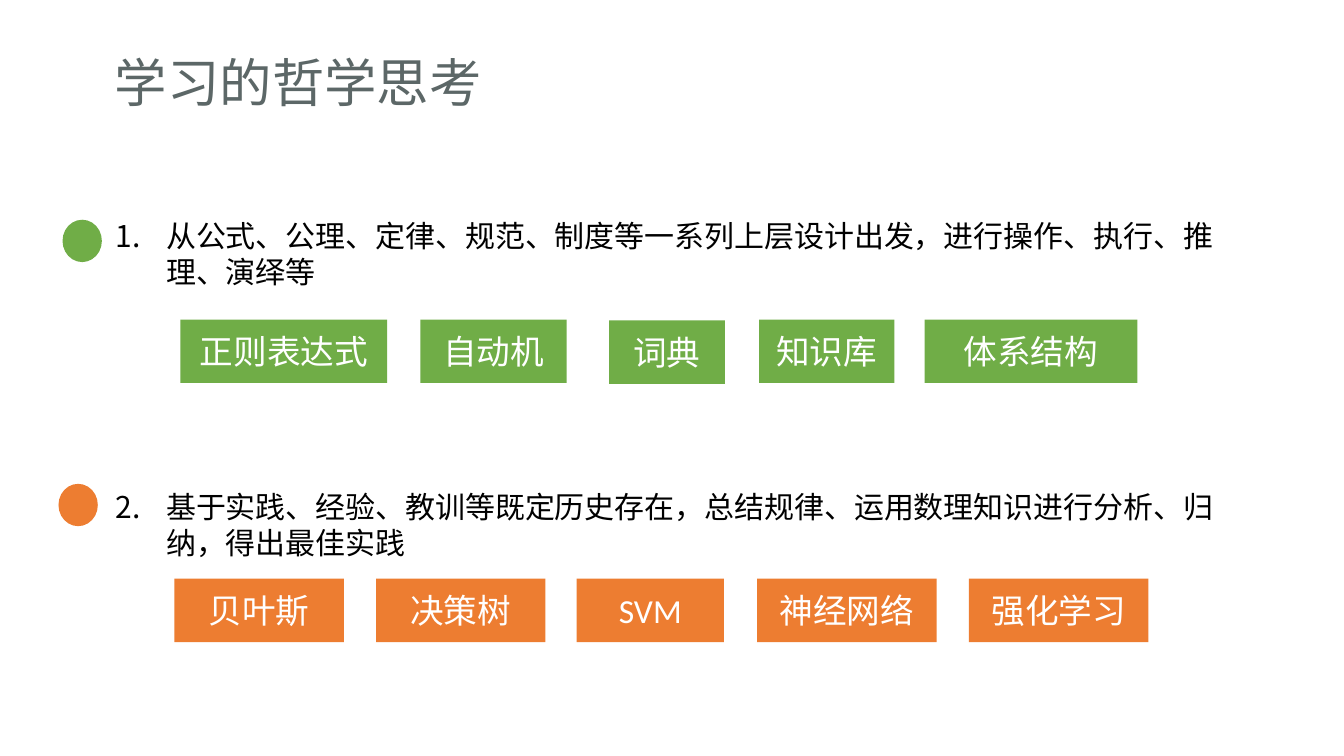
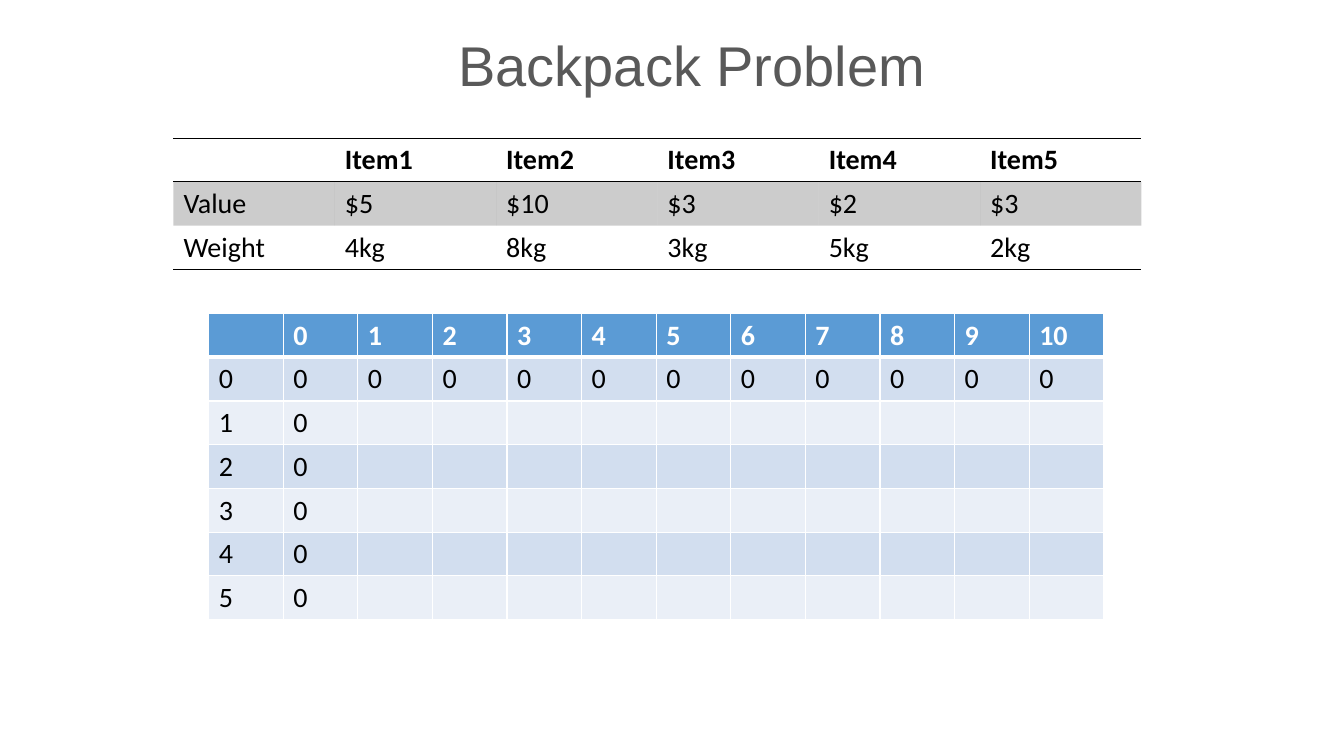
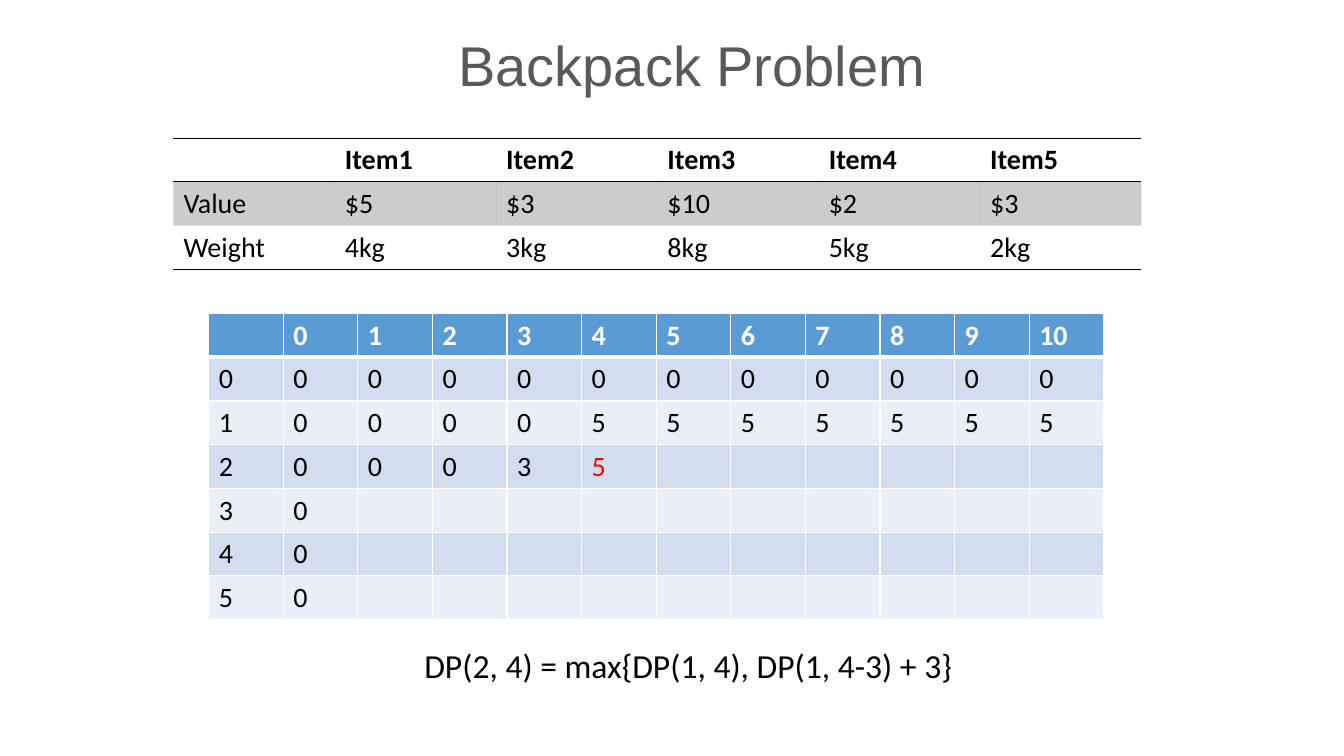
from dataclasses import dataclass

from lxml import etree
from pptx import Presentation
from pptx import util as u
from pptx.dml.color import RGBColor
from pptx.enum import shapes, text
from pptx.oxml import ns

# Shared look; 100 px make one inch
EMU_PER_PX = 9144
BODY_FONT = "Calibri"
BLACK, WHITE, RED = "000000", "FFFFFF", "FF0000"
GREEN, ORANGE = "70AD47", "ED7D31"
HEADER_BLUE, BAND_DARK, BAND_LIGHT = "5B9BD5", "D2DEEF", "EAEFF7"
CENTER = text.PP_ALIGN.CENTER


@dataclass(frozen=True)
class Area:
    left: int
    top: int
    width: int
    height: int

    def emu(self) -> list[int]:
        return [px(n) for n in (self.left, self.top, self.width, self.height)]


@dataclass(frozen=True)
class Style:
    size: float
    color: str
    font: str = BODY_FONT
    bold: bool = False


@dataclass(frozen=True)
class Edge:
    """Cell border; a width of 0 means no line."""
    color: str = BLACK
    points: int = 0


@dataclass(frozen=True)
class CellLook:
    style: Style
    fill: str | None
    top: Edge
    bottom: Edge
    side: Edge
    opacity: int = 100


@dataclass(frozen=True)
class Tag:
    label: str
    left: int
    width: int
    top: int


@dataclass(frozen=True)
class Approach:
    summary: str
    color: str
    dot: Area
    tags: tuple[Tag, ...]
    space_before: int


@dataclass(frozen=True)
class Backpack:
    values: tuple[int, ...]
    weights: tuple[int, ...]
    totals: tuple[tuple[int, ...], ...]
    current: tuple[int, int] | None = None
    formula: str = ""


CJK_TITLE = Style(37.4, "5C6767", "Noto Sans CJK SC")
LATIN_TITLE = Style(40, "595959", "Arial")
SUMMARY = Style(21.4, BLACK)
TAG = Style(24, WHITE)
FORMULA = Style(24, BLACK)
CELL = Style(20, BLACK)
CELL_BOLD = Style(20, BLACK, bold=True)
CELL_HEADER = Style(20, WHITE, bold=True)
CELL_CURRENT = Style(20, RED)

APPROACHES = (
    Approach(
        "从公式、公理、定律、规范、制度等一系列上层设计出发，进行操作、执行、推理、演绎等",
        GREEN, Area(62, 218, 39, 42),
        (Tag("正则表达式", 179, 205, 317), Tag("自动机", 417, 145, 317),
         Tag("词典", 604, 115, 318), Tag("知识库", 753, 134, 317),
         Tag("体系结构", 917, 211, 317)), 8),
    Approach(
        "基于实践、经验、教训等既定历史存在，总结规律、运用数理知识进行分析、归纳，得出最佳实践",
        ORANGE, Area(58, 480, 39, 42),
        (Tag("贝叶斯", 173, 168, 574), Tag("决策树", 373, 168, 574),
         Tag("SVM", 572, 146, 574), Tag("神经网络", 751, 178, 574),
         Tag("强化学习", 961, 178, 574)), 142),
)

CAPACITY = 10
START = ((0,) * (CAPACITY + 1),) + ((0,),) * 5
BACKPACKS = (
    Backpack((5, 10, 3, 2, 3), (4, 8, 3, 5, 2), START),
    Backpack((5, 3, 10, 2, 3), (4, 3, 8, 5, 2),
             (START[0], (0,) * 4 + (5,) * 7, (0, 0, 0, 3, 5)) + START[3:],
             (2, 4), "DP(2, 4) = max{DP(1, 4), DP(1, 4-3) + 3} "),
)


def px(length: int) -> int:
    return length * EMU_PER_PX


def rgb(color: str) -> RGBColor:
    return RGBColor.from_string(color)


def write(para, words: str, style: Style, align=None) -> None:
    para.text = words
    para.alignment = align
    font = para.font
    font.name, font.size, font.bold = style.font, u.Pt(style.size), style.bold
    font.color.rgb = rgb(style.color)


def add_text_box(page, area: Area, inset: tuple[int, int] = (10, 5)):
    frame = page.shapes.add_textbox(*area.emu()).text_frame
    frame.word_wrap = True
    frame.auto_size = text.MSO_AUTO_SIZE.SHAPE_TO_FIT_TEXT
    frame.margin_left = frame.margin_right = px(inset[0])
    frame.margin_top = frame.margin_bottom = px(inset[1])
    return frame


def add_block(page, kind, area: Area, color: str):
    block = page.shapes.add_shape(kind, *area.emu())
    block.shadow.inherit = False
    block.fill.solid()
    block.fill.fore_color.rgb = rgb(color)
    block.line.fill.background()
    return block


def number_paragraph(para, number: int) -> None:
    """Hanging indent with an automatic number."""
    props = para._p.get_or_add_pPr()
    props.set("marL", str(px(50)))
    props.set("indent", str(px(-50)))
    etree.SubElement(props, ns.qn("a:buFont"), typeface="+mj-lt")
    etree.SubElement(props, ns.qn("a:buAutoNum"), type="arabicPeriod",
                     startAt=str(number))


def set_edges(cell, look: CellLook) -> None:
    props = cell._tc.get_or_add_tcPr()
    edges = {"lnL": look.side, "lnR": look.side,
             "lnT": look.top, "lnB": look.bottom}
    for place, (name, edge) in enumerate(edges.items()):
        line = etree.Element(ns.qn(f"a:{name}"), w=str(u.Pt(edge.points)))
        props.insert(place, line)
        if edge.points:
            paint = etree.SubElement(line, ns.qn("a:solidFill"))
            etree.SubElement(paint, ns.qn("a:srgbClr"), val=edge.color)
        else:
            etree.SubElement(line, ns.qn("a:noFill"))


def paint_cell(cell, words: str, look: CellLook) -> None:
    write(cell.text_frame.paragraphs[0], words, look.style)
    if look.fill is None:
        cell.fill.background()
    else:
        cell.fill.solid()
        cell.fill.fore_color.rgb = rgb(look.fill)
        if look.opacity < 100:
            tint = cell._tc.tcPr.find(".//" + ns.qn("a:srgbClr"))
            etree.SubElement(tint, ns.qn("a:alpha"), val=str(look.opacity * 1000))
    set_edges(cell, look)


def add_grid(page, left: int, top: int, column: int, row: int,
             rows: list[list[str]], look_at) -> None:
    """Draw a table of equal cells; look_at(row, column) gives each look."""
    area = Area(left, top, column * len(rows[0]), row * len(rows))
    table = page.shapes.add_table(len(rows), len(rows[0]), *area.emu()).table
    table.first_row = table.horz_banding = False
    for r, line in enumerate(rows):
        for c, words in enumerate(line):
            paint_cell(table.cell(r, c), words, look_at(r, c))


def item_look(r: int, c: int) -> CellLook:
    rule, none = Edge(BLACK, 1), Edge()
    return (CellLook(CELL_BOLD, None, rule, rule, none),
            CellLook(CELL, BLACK, rule, none, none, opacity=20),
            CellLook(CELL, None, none, rule, none))[r]


def total_look(r: int, c: int, current: tuple[int, int] | None) -> CellLook:
    thin, thick = Edge(WHITE, 1), Edge(WHITE, 3)
    if r == 0:
        return CellLook(CELL_HEADER, HEADER_BLUE, thin, thick, thin)
    style = CELL_CURRENT if (r - 1, c - 1) == current else CELL
    band = BAND_DARK if r % 2 else BAND_LIGHT
    return CellLook(style, band, thick if r == 1 else thin, thin, thin)


def add_learning_page(page) -> None:
    title = add_text_box(page, Area(97, 42, 622, 80), (17, 8)).paragraphs[0]
    write(title, "学习的哲学思考", CJK_TITLE)

    # Numbered summaries
    frame = add_text_box(page, Area(105, 211, 1113, 353))
    for number, approach in enumerate(APPROACHES, 1):
        para = frame.paragraphs[0] if number == 1 else frame.add_paragraph()
        write(para, approach.summary, SUMMARY)
        para.space_before = u.Pt(approach.space_before)
        number_paragraph(para, number)

    # Dots and technique tags
    for approach in APPROACHES:
        add_block(page, shapes.MSO_SHAPE.OVAL, approach.dot, approach.color)
        for tag in approach.tags:
            area = Area(tag.left, tag.top, tag.width, 63)
            block = add_block(page, shapes.MSO_SHAPE.RECTANGLE, area, approach.color)
            block.text_frame.vertical_anchor = text.MSO_ANCHOR.MIDDLE
            write(block.text_frame.paragraphs[0], tag.label, TAG, CENTER)


def add_backpack_page(page, problem: Backpack) -> None:
    title = add_text_box(page, Area(131, 25, 1110, 77), (5, 5)).paragraphs[0]
    write(title, "Backpack Problem", LATIN_TITLE, CENTER)

    # Items
    items = [[""] + [f"Item{n}" for n in range(1, len(problem.values) + 1)],
             ["Value"] + [f"${value}" for value in problem.values],
             ["Weight"] + [f"{weight}kg" for weight in problem.weights]]
    add_grid(page, 172, 137, 160, 43, items, item_look)

    # Best totals by item count and capacity
    totals = [[""] + [str(n) for n in range(CAPACITY + 1)]]
    for count, known in enumerate(problem.totals):
        blanks = [""] * (CAPACITY + 1 - len(known))
        totals.append([str(count), *map(str, known), *blanks])
    add_grid(page, 207, 311, 74, 43, totals,
             lambda r, c: total_look(r, c, problem.current))

    if problem.formula:
        frame = add_text_box(page, Area(395, 635, 583, 50))
        write(frame.paragraphs[0], problem.formula, FORMULA, CENTER)


def main() -> None:
    deck = Presentation()
    deck.slide_width, deck.slide_height = px(1333), px(750)
    blank = deck.slide_layouts[6]
    add_learning_page(deck.slides.add_slide(blank))
    for problem in BACKPACKS:
        add_backpack_page(deck.slides.add_slide(blank), problem)
    deck.save("out.pptx")


if __name__ == "__main__":
    main()
